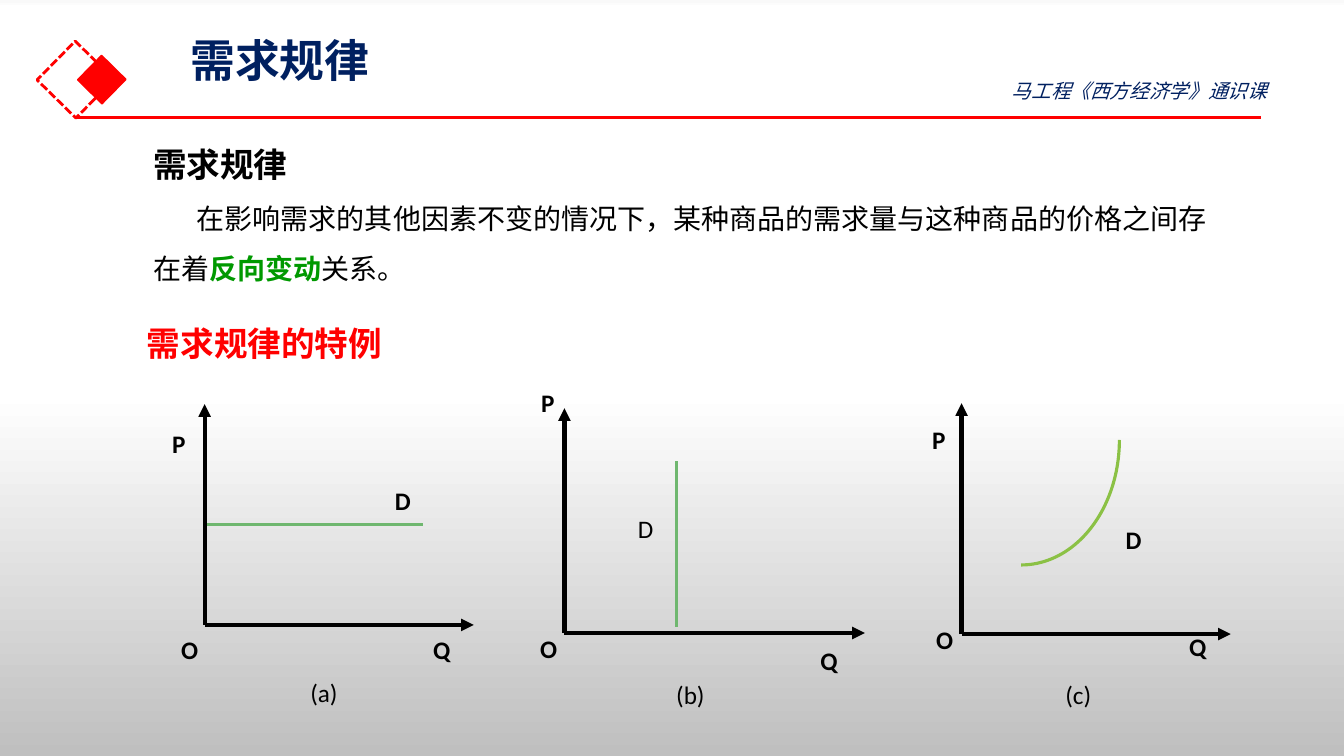
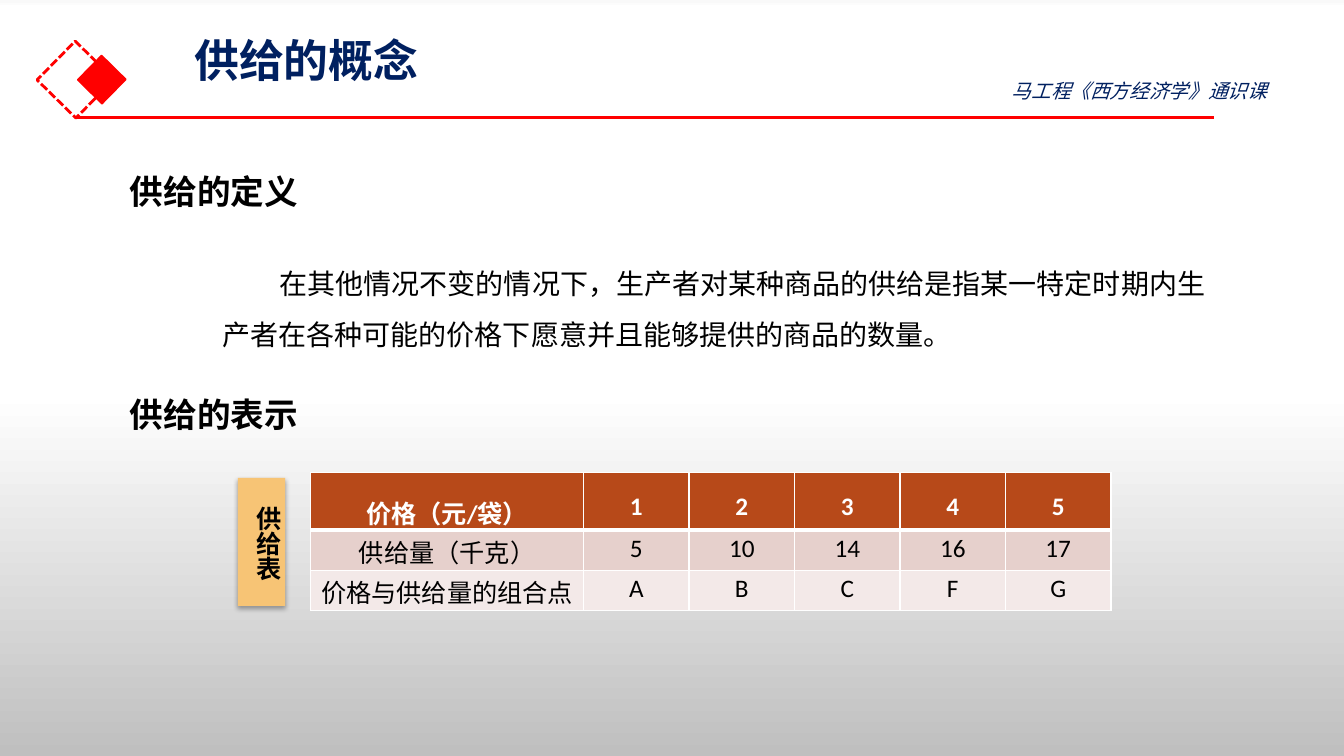
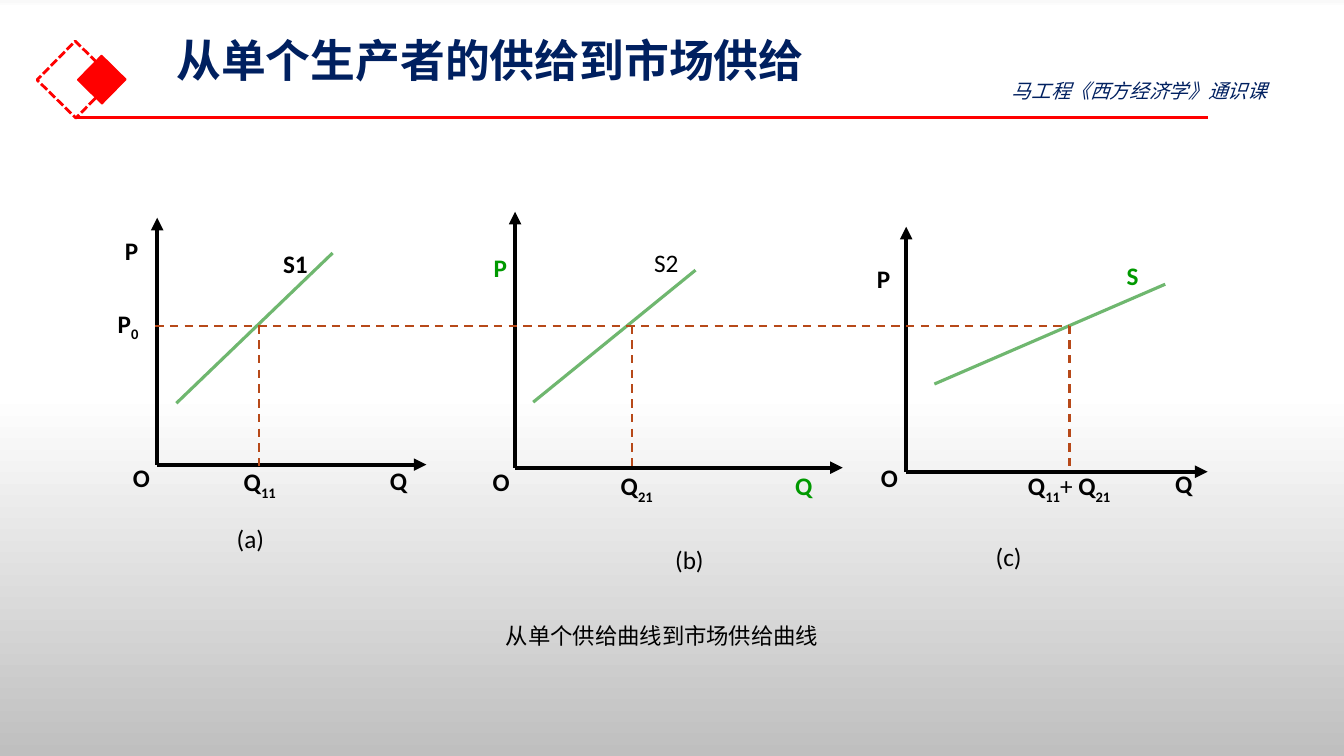
from dataclasses import dataclass

from lxml import etree
from pptx import Presentation
from pptx.dml.color import RGBColor
from pptx.enum.dml import MSO_LINE
from pptx.enum.shapes import MSO_CONNECTOR, MSO_SHAPE
from pptx.enum.text import MSO_ANCHOR, MSO_AUTO_SIZE, PP_ALIGN
from pptx.oxml.ns import qn
from pptx.util import Emu, Pt

RECTANGLE, ARC = MSO_SHAPE.RECTANGLE, MSO_SHAPE.ARC
STRAIGHT = MSO_CONNECTOR.STRAIGHT
DASH, SHORT_DASH = MSO_LINE.DASH, MSO_LINE.SQUARE_DOT
TOP, MIDDLE = MSO_ANCHOR.TOP, MSO_ANCHOR.MIDDLE
CENTER = PP_ALIGN.CENTER
GROW, FIXED = MSO_AUTO_SIZE.SHAPE_TO_FIT_TEXT, MSO_AUTO_SIZE.NONE

# The slide is a grid of square cells, 40 columns by 22.5 rows
COLUMNS, ROWS, CELL = 40, 22.5, 304800


@dataclass(frozen=True)
class Theme:
    latin: str = "Calibri"
    chinese: str = "Noto Sans CJK SC"
    title: int = 32
    heading: int = 24
    body: int = 20
    label: int = 18
    caption: int = 16
    tagline: int = 14
    navy: str = "002060"
    red: str = "FF0000"
    black: str = "000000"
    white: str = "FFFFFF"
    green: str = "009900"
    curve: str = "6FB76F"
    arc: str = "8BC145"
    rust: str = "B74919"
    amber: str = "F7C475"
    bands: tuple = ("E6D0CC", "F3E9E8")
    backdrop: tuple = ((0, "F9F9F9"), (1, "FFFFFF"), (52, "FFFFFF"), (100, "BFBFBF"))


THEME = Theme()


@dataclass(frozen=True)
class Span:
    text: str
    bold: bool | None = None
    color: str | None = None
    lowered: bool = False


def cells(count):
    return Emu(round(count * CELL))


def rgb(color):
    return RGBColor.from_string(color)


def add_xml(parent, tag, **attributes):
    return etree.SubElement(parent, qn(tag), {key: str(value) for key, value in attributes.items()})


# Text
def write(para, content, size, color=THEME.black, bold=False, italic=False,
          face=THEME.chinese, spacing=None, indent=0):
    font = para.font
    font.name, font.size, font.bold, font.italic = face, Pt(size), bold, italic
    font.color.rgb = rgb(color)
    properties = para._p.get_or_add_pPr()
    add_xml(properties.find(qn("a:defRPr")), "a:ea", typeface=THEME.chinese)
    if spacing:
        para.line_spacing = spacing
    if indent:
        properties.set("indent", str(cells(indent)))
    for span in (Span(content),) if isinstance(content, str) else content:
        run = para.add_run()
        run.text = span.text
        if span.bold is not None:
            run.font.bold = span.bold
        if span.color:
            run.font.color.rgb = rgb(span.color)
        if span.lowered:
            run._r.get_or_add_rPr().set("baseline", "-25000")


def text_box(page, left, top, width, height, anchor=TOP, wrap=True, fit=GROW):
    box = page.shapes.add_textbox(*map(cells, (left, top, width, height)))
    frame = box.text_frame
    frame.word_wrap, frame.auto_size, frame.vertical_anchor = wrap, fit, anchor
    return box


def text(page, place, content, size, **style):
    box = text_box(page, *place)
    write(box.text_frame.paragraphs[0], content, size, **style)
    return box


def label(page, content, left, middle, bold=True, color=THEME.black):
    side = 0.9
    box = text_box(page, left, middle - side / 2, side, side, MIDDLE, False, FIXED)
    write(box.text_frame.paragraphs[0], content, THEME.label, color, bold, face=THEME.latin)


# Lines and shapes
def line(page, start, end, color, width, dash=None, arrow=False):
    link = page.shapes.add_connector(STRAIGHT, *map(cells, (*start, *end)))
    link.line.color.rgb = rgb(color)
    link.line.width = Pt(width)
    if dash:
        link.line.dash_style = dash
    if arrow:
        add_xml(link.line._get_or_add_ln(), "a:tailEnd", type="triangle")
    add_xml(link.element.spPr, "a:effectLst")


def shape(page, kind, place, fill=None, outline=None, width=1, dash=None, rotation=0):
    figure = page.shapes.add_shape(kind, *map(cells, place))
    figure.shadow.inherit = False
    figure.rotation = rotation
    if fill:
        figure.fill.solid()
        figure.fill.fore_color.rgb = rgb(fill)
    else:
        figure.fill.background()
    if outline:
        figure.line.color.rgb = rgb(outline)
        figure.line.width = Pt(width)
        if dash:
            figure.line.dash_style = dash
    else:
        figure.line.fill.background()
    return figure


def drop_shadow(figure):
    effects = figure.element.spPr.find(qn("a:effectLst"))
    shadow = add_xml(effects, "a:outerShdw", blurRad=Pt(3.5), dist=Pt(2.2), dir=5400000, rotWithShape=0)
    color = add_xml(shadow, "a:srgbClr", val=THEME.black)
    add_xml(color, "a:alpha", val=32000)


# Page frame shared by every slide
def paint_backdrop(page):
    fill = page.background.fill
    fill.gradient()
    fill.gradient_angle = 270
    stops = next(page.element.iter(qn("a:gsLst")))
    for stop in list(stops):
        stops.remove(stop)
    for position, color in THEME.backdrop:
        stop = add_xml(stops, "a:gs", pos=position * 1000)
        add_xml(stop, "a:srgbClr", val=color)


def new_page(deck, title, title_left, rule_end):
    page = deck.slides.add_slide(deck.slide_layouts[6])
    paint_backdrop(page)
    shape(page, RECTANGLE, (1.44, 1.56, 1.62, 1.62), outline=THEME.red, width=2,
          dash=SHORT_DASH, rotation=314.5)
    shape(page, RECTANGLE, (2.52, 1.86, 1.02, 1.02), THEME.red, THEME.red, rotation=314.5)
    line(page, (2.25, 3.51), (rule_end, 3.51), THEME.red, 2.25)
    box = text_box(page, title_left, 1.15, 34.5, 2.85, fit=FIXED)
    box.text_frame.margin_top = 0
    write(box.text_frame.paragraphs[0], title, THEME.title, THEME.navy, True, spacing=0.9)
    text(page, (29.82, 2.19, 9.72, 1.02), "马工程《西方经济学》通识课",
         THEME.tagline, color=THEME.navy, italic=True)
    return page


# Price and quantity graph: axes, named points and a caption
def graph(page, origin, right, top, names, caption, curve=None, color=THEME.black):
    left, bottom = origin
    if curve:
        line(page, *curve, THEME.curve, 2.25)
    line(page, origin, (right, bottom), THEME.black, 3, arrow=True)
    line(page, origin, (left, top), THEME.black, 3, arrow=True)
    for name, place in zip("OPQ", names):
        label(page, name, *place, color=THEME.black if name == "O" else color)
    mark, *place = caption
    label(page, mark, *place, bold=False)


# Table
def border(cell, side, width):
    edge = add_xml(cell._tc.get_or_add_tcPr(), f"a:ln{side}", w=Pt(width))
    add_xml(add_xml(edge, "a:solidFill"), "a:srgbClr", val=THEME.white)


def supply_table(page, left, top):
    rows = (("价格（元/袋）", "1", "2", "3", "4", "5"),
            ("供给量（千克）", "5", "10", "14", "16", "17"),
            ("价格与供给量的组合点", "A", "B", "C", "F", "G"))
    first, other, heights = 8.13, 3.14, (1.71, 1.2, 1.2)
    width = first + other * (len(rows[0]) - 1)
    table = page.shapes.add_table(len(rows), len(rows[0]),
                                  *map(cells, (left, top, width, sum(heights)))).table
    table.first_row = table.horz_banding = False
    for index, column in enumerate(table.columns):
        column.width = cells(other if index else first)
    for index, values in enumerate(rows):
        header = index == 0
        table.rows[index].height = cells(heights[index])
        for cell, value in zip(table.rows[index].cells, values):
            for side in "LRTB":
                heavy = (index, side) in ((0, "B"), (1, "T"))
                border(cell, side, 3 if heavy else 1)
            cell.fill.solid()
            cell.fill.fore_color.rgb = rgb((THEME.rust, *THEME.bands)[index])
            cell.margin_left = cell.margin_right = cells(0.15)
            cell.margin_top, cell.margin_bottom = cells(0.09), 0
            para = cell.text_frame.paragraphs[0]
            para.alignment = CENTER
            write(para, value, THEME.label, THEME.white if header else THEME.black,
                  header, face=THEME.latin, spacing=1.5 if header else None)


# Slides
def demand_law(deck):
    page = new_page(deck, "需求规律", 5.37, 37.53)
    box = text(page, (4.26, 3.54, 32.7, 5.16), "需求规律", THEME.heading, bold=True, spacing=1.5)
    definition = (Span("在影响需求的其他因素不变的情况下，某种商品的需求量与这种商品的价格之间存在着"),
                  Span("反向变动", True, THEME.green),
                  Span("关系。"))
    write(box.text_frame.add_paragraph(), definition, THEME.body, spacing=1.5, indent=1.3)
    text(page, (4.08, 8.85, 14.28, 2.13), "需求规律的特例", THEME.heading,
         color=THEME.red, bold=True, spacing=1.5)

    graph(page, (6.09, 18.6), 14.1, 12.03, ((5.1, 19.34), (4.83, 13.19), (12.6, 19.34)),
          ("(a)", 8.94, 20.61), ((6.09, 15.6), (12.6, 15.6)))
    graph(page, (16.8, 18.84), 25.74, 12.15, ((15.78, 19.31), (15.81, 11.97), (24.12, 19.67)),
          ("(b)", 19.83, 20.67), ((20.13, 18.66), (20.13, 13.71)))
    graph(page, (28.62, 18.87), 36.63, 12, ((27.57, 19.02), (27.45, 13.08), (35.1, 19.23)),
          ("(c)", 31.41, 20.67))
    shape(page, ARC, (26.67, 10.17, 7.44, 5.85), outline=THEME.arc, width=2.25, rotation=90)
    for left, middle, bold in ((11.46, 14.9, True), (18.69, 15.72, False), (33.21, 16.07, True)):
        label(page, "D", left, middle, bold)


def supply_concept(deck):
    page = new_page(deck, "供给的概念", 5.49, 36.12)
    for heading, top in (("供给的定义", 4.95), ("供给的表示", 11.58)):
        text(page, (3.57, top, 9.81, 1.5), heading, THEME.heading, bold=True)
    text(page, (6.33, 7.29, 30.42, 3.33),
         "在其他情况不变的情况下，生产者对某种商品的供给是指某一特定时期内生产者在各种可能的价格下愿意并且能够提供的商品的数量。",
         THEME.body, spacing=1.5, indent=1.7)
    drop_shadow(shape(page, RECTANGLE, (7.08, 14.22, 1.41, 3.81), THEME.amber))
    tag = text(page, (7.08, 14.76, 1.5, 3.39), "供给表", THEME.label, bold=True, face=THEME.latin)
    next(tag.element.iter(qn("a:bodyPr"))).set("vert", "eaVert")
    supply_table(page, 9.24, 14.07)


def market_supply(deck):
    page = new_page(deck, "从单个生产者的供给到市场供给", 4.95, 35.94)
    graph(page, (4.68, 13.83), 12.69, 6.48, ((3.66, 14.21), (3.42, 7.46), (11.31, 14.3)),
          ("(a)", 6.75, 16.02), ((5.25, 12), (9.9, 7.53)))
    graph(page, (15.33, 13.92), 25.08, 6.3, ((14.37, 14.33), (14.4, 7.95), (23.37, 14.46)),
          ("(b)", 19.8, 16.65), ((20.7, 8.04), (15.87, 11.97)), THEME.green)
    graph(page, (26.97, 14.04), 35.94, 6.75, ((25.92, 14.22), (25.8, 8.28), (34.68, 14.4)),
          ("(c)", 29.34, 16.56), ((34.68, 8.46), (27.81, 11.43)))
    label(page, "S1", 8.13, 7.85)
    label(page, "S2", 19.17, 7.8, bold=False)
    label(page, "S", 33.24, 8.19, color=THEME.green)

    # Shared price and the quantity supplied at it
    price = 9.69
    line(page, (4.62, price), (31.83, price), THEME.rust, 1.5, DASH)
    for quantity, bottom in ((7.71, 13.86), (18.81, 13.89), (31.83, 13.95)):
        line(page, (quantity, price), (quantity, bottom), THEME.rust, 1.5, DASH)
    first = (Span("Q"), Span("11", lowered=True))
    second = (Span("Q"), Span("21", lowered=True))
    label(page, (Span("P"), Span("0", lowered=True)), 3.21, price)
    label(page, first, 6.96, 14.4)
    label(page, second, 18.18, 14.52)
    label(page, (*first, Span("+ ", False), *second), 30.3, 14.52)
    text(page, (14.76, 18.36, 21.18, 1.11), "从单个供给曲线到市场供给曲线", THEME.caption)


def main():
    deck = Presentation()
    deck.slide_width, deck.slide_height = cells(COLUMNS), cells(ROWS)
    demand_law(deck)
    supply_concept(deck)
    market_supply(deck)
    deck.save("out.pptx")


if __name__ == "__main__":
    main()
